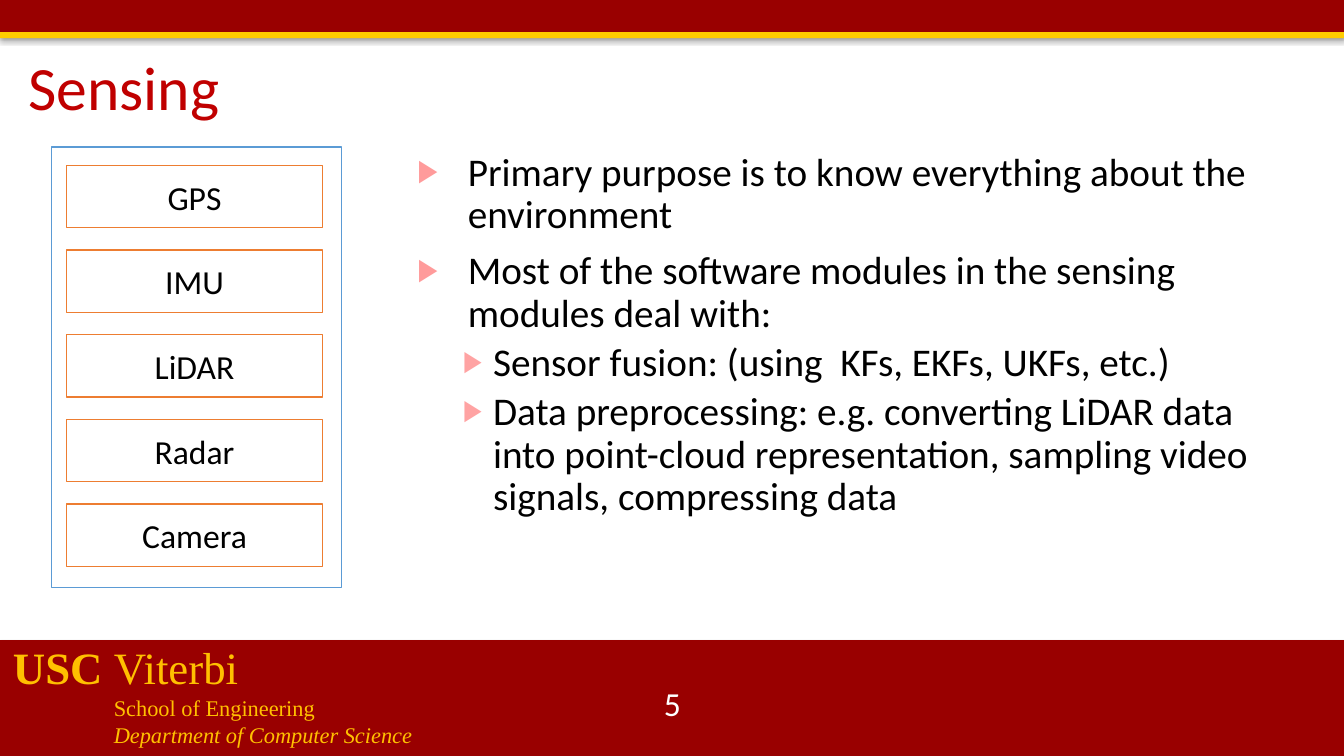
from dataclasses import dataclass
from typing import Optional

from lxml import etree
from pptx import Presentation
from pptx.dml.color import RGBColor
from pptx.enum import shapes, text
from pptx.oxml import ns
from pptx.util import Inches, Pt

CARDINAL = RGBColor(0x99, 0x00, 0x00)
GOLD = RGBColor(0xFF, 0xCC, 0x00)
AMBER = RGBColor(0xFF, 0xC0, 0x00)
TITLE_RED = RGBColor(0xC0, 0x00, 0x00)
BLUE = RGBColor(0x5B, 0x9B, 0xD5)
ORANGE = RGBColor(0xED, 0x7D, 0x31)
PINK = RGBColor(0xFF, 0x9B, 0x9B)
LIGHT_PINK = RGBColor(0xFF, 0xA3, 0xA3)
BLACK = RGBColor(0x00, 0x00, 0x00)
WHITE = RGBColor(0xFF, 0xFF, 0xFF)

SANS = "Calibri"
SERIF = "Times New Roman"
SENSORS = ["GPS", "IMU", "LiDAR", "Radar", "Camera"]
SENSOR_TOP = 1.64
SENSOR_PITCH = 0.84


@dataclass
class Area:
    left: float
    top: float
    width: float
    height: float

    def lengths(self) -> list:
        return [Inches(n) for n in (self.left, self.top, self.width, self.height)]


@dataclass
class Bar:
    area: Area
    color: RGBColor
    shadow_opacity: int


@dataclass
class BulletStyle:
    color: RGBColor
    percent: int
    indent: float
    hanging: float
    space_before: int


BARS = [
    Bar(Area(0, 6.35, 13.33, 1.15), CARDINAL, 35),
    Bar(Area(0, 0, 13.33, 0.33), CARDINAL, 35),
    Bar(Area(0, 0.32, 13.33, 0.06), GOLD, 38),
]
BULLET_STYLES = [
    BulletStyle(PINK, 80, 0.5, 0.5, 10),
    BulletStyle(LIGHT_PINK, 75, 0.75, 0.3, 5),
]
POINTS = [
    (0, "Primary purpose is to know everything about the environment"),
    (0, "Most of the software modules in the sensing modules deal with:"),
    (1, "Sensor fusion: (using  KFs, EKFs, UKFs, etc.)"),
    (1, "Data preprocessing: e.g. converting LiDAR data into point-cloud "
        "representation, sampling video signals, compressing data"),
]


def set_font(font, name: str, size: int, color: RGBColor) -> None:
    font.name = name
    font.size = Pt(size)
    font.color.rgb = color


def place(shape, area: Area) -> None:
    shape.left, shape.top, shape.width, shape.height = area.lengths()


def add_rectangle(page, area: Area, fill: Optional[RGBColor], line: Optional[RGBColor]):
    box = page.shapes.add_shape(shapes.MSO_SHAPE.RECTANGLE, *area.lengths())
    box.shadow.inherit = False
    if fill is None:
        box.fill.background()
    else:
        box.fill.solid()
        box.fill.fore_color.rgb = fill
    if line is None:
        box.line.fill.background()
    else:
        box.line.color.rgb = line
        box.line.width = Pt(1)
    return box


def add_bar(page, bar: Bar) -> None:
    box = add_rectangle(page, bar.area, bar.color, None)
    effects = box._element.spPr.find(ns.qn("a:effectLst"))
    shadow = etree.SubElement(effects, ns.qn("a:outerShdw"), blurRad=str(Pt(3.1)),
                              dist=str(Pt(1.8)), dir="5400000", rotWithShape="0")
    color = etree.SubElement(shadow, ns.qn("a:srgbClr"), val="000000")
    etree.SubElement(color, ns.qn("a:alpha"), val=str(bar.shadow_opacity * 1000))


def write_centred(box, words: str, color: RGBColor) -> None:
    frame = box.text_frame
    frame.word_wrap = True
    frame.vertical_anchor = text.MSO_ANCHOR.MIDDLE
    para = frame.paragraphs[0]
    para.text = words
    para.alignment = text.PP_ALIGN.CENTER
    set_font(para.font, SANS, 24, color)


def add_bullet(para, style: BulletStyle) -> None:
    properties = para._p.get_or_add_pPr()
    properties.set("marL", str(Inches(style.indent)))
    properties.set("indent", str(-Inches(style.hanging)))
    color = etree.SubElement(properties, ns.qn("a:buClr"))
    etree.SubElement(color, ns.qn("a:srgbClr"), val=str(style.color))
    etree.SubElement(properties, ns.qn("a:buSzPct"), val=str(style.percent * 1000))
    etree.SubElement(properties, ns.qn("a:buChar"), char="▶")


def fill_title(title) -> None:
    place(title, Area(0.18, 0.47, 11.94, 0.85))
    frame = title.text_frame
    frame.vertical_anchor = text.MSO_ANCHOR.MIDDLE
    para = frame.paragraphs[0]
    para.text = "Sensing"
    para.alignment = text.PP_ALIGN.LEFT
    para.line_spacing = 0.9
    set_font(para.font, SANS, 44, TITLE_RED)


def fill_body(body) -> None:
    place(body, Area(4.04, 1.46, 8.93, 4.37))
    frame = body.text_frame
    frame.auto_size = text.MSO_AUTO_SIZE.NONE
    for index, (level, words) in enumerate(POINTS):
        para = frame.add_paragraph() if index else frame.paragraphs[0]
        style = BULLET_STYLES[level]
        para.text = words
        para.level = level
        add_bullet(para, style)
        para.line_spacing = 0.9
        para.space_before = Pt(style.space_before if index else 0)
        set_font(para.font, SANS, 28, BLACK)


def add_school_name(page) -> None:
    box = page.shapes.add_textbox(*Area(0.03, 6.3, 6.25, 1.18).lengths())
    frame = box.text_frame
    frame.word_wrap = True
    heading = frame.paragraphs[0]
    for words, bold in (("USC ", True), ("Viterbi", False)):
        span = heading.add_run()
        span.text = words
        span.font.bold = bold
    set_font(heading.font, SERIF, 32, AMBER)
    for words, italic in (("School of Engineering", False),
                          ("Department of Computer Science", True)):
        para = frame.add_paragraph()
        para.text = words
        para._p.get_or_add_pPr().set("marL", str(Inches(1)))
        set_font(para.font, SERIF, 16, AMBER)
        para.font.italic = italic


def main() -> None:
    deck = Presentation()
    deck.slide_width = Inches(13.33)
    deck.slide_height = Inches(7.5)
    page = deck.slides.add_slide(deck.slide_layouts[1])

    for bar in BARS:
        add_bar(page, bar)
    add_school_name(page)
    fill_title(page.shapes.title)
    fill_body(page.placeholders[1])

    number = page.shapes.add_textbox(*Area(5.17, 6.78, 3, 0.4).lengths())
    write_centred(number, "5", WHITE)

    add_rectangle(page, Area(0.51, 1.46, 2.88, 4.37), None, BLUE)
    for index, sensor in enumerate(SENSORS):
        area = Area(0.66, SENSOR_TOP + index * SENSOR_PITCH, 2.54, 0.62)
        write_centred(add_rectangle(page, area, WHITE, ORANGE), sensor, BLACK)

    deck.save("out.pptx")


if __name__ == "__main__":
    main()
